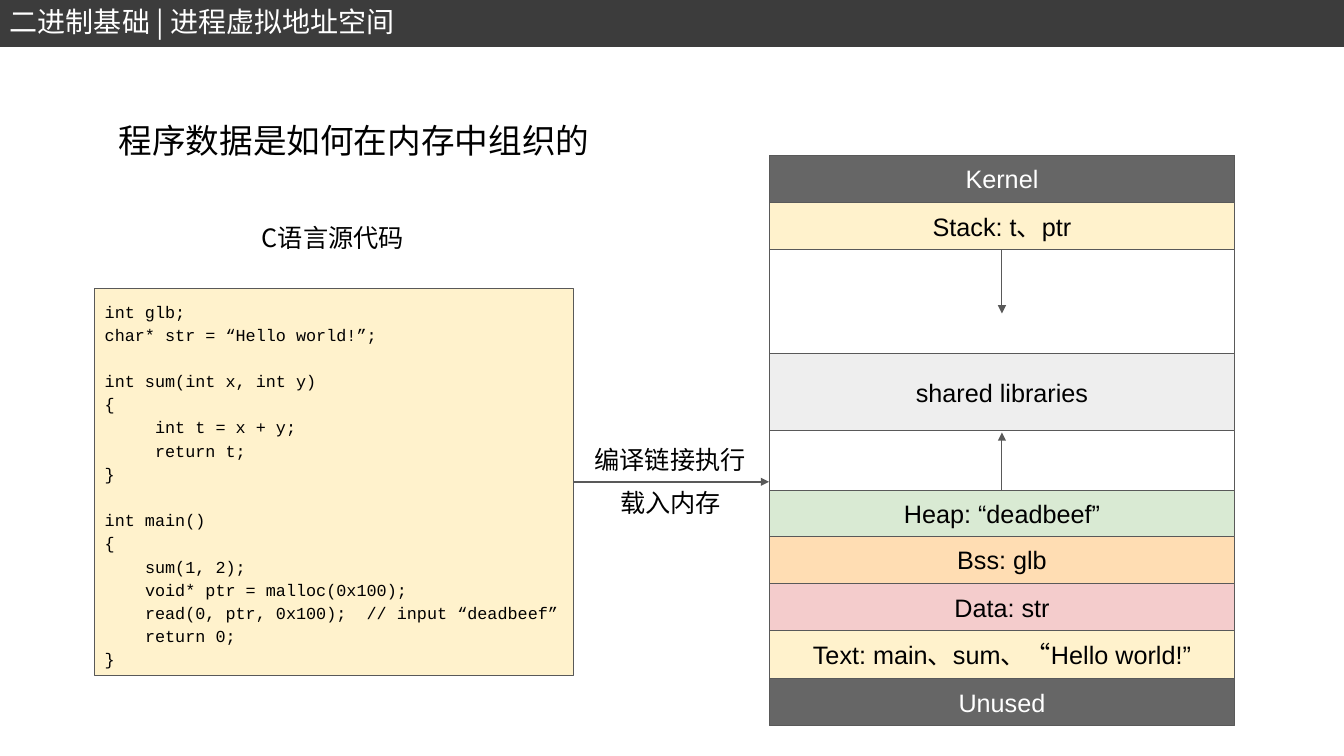
from collections import namedtuple
from dataclasses import dataclass

from lxml import etree
from pptx import Presentation, util as u
from pptx.dml.color import RGBColor
from pptx.enum import shapes, text
from pptx.oxml.ns import qn

CELL = 0.1
COLUMNS, ROWS = 133.33, 75
Box = namedtuple("Box", "left top width height")
Line = namedtuple("Line", "words indent gap", defaults=(0, 0))


@dataclass(frozen=True)
class Theme:
    """Colours, fonts and sizes of the slide."""
    bar: str = "3C3C3C"
    edge: str = "595959"
    dark: str = "666666"
    cream: str = "FFF2CC"
    grey: str = "EEEEEE"
    green: str = "D9EAD3"
    orange: str = "FFDDB3"
    red: str = "F4CCCC"
    white: str = "FFFFFF"
    black: str = "000000"
    sans: str = "Arial"
    mono: str = "Courier New"
    chinese: str = "Noto Sans CJK SC"
    code: int = 12
    body: int = 18
    header: int = 20
    title: int = 24
    thin: float = 0.75
    medium: float = 1.5
    thick: float = 2


THEME = Theme()

CODE = [
    Line("int glb;"),
    Line("char* str = “Hello world!”;"),
    Line("int sum(int x, int y)", gap=1),
    Line("{"),
    Line("int t = x + y;", indent=5),
    Line("return t;", indent=5),
    Line("}"),
    Line("int main()", gap=1),
    Line("{"),
    Line("sum(1, 2);", indent=4),
    Line("void* ptr = malloc(0x100);", indent=4),
    Line("read(0, ptr, 0x100);  // input “deadbeef”", indent=4),
    Line("return 0;", indent=4),
    Line("}"),
]

SEGMENTS = [
    ("Kernel", 4.7, THEME.dark),
    ("Stack: t、ptr", 4.7, THEME.cream),
    ("", 10.3, THEME.white),
    ("shared libraries", 7.6, THEME.grey),
    ("", 6, THEME.white),
    ("Heap: “deadbeef”", 4.5, THEME.green),
    ("Bss: glb", 4.7, THEME.orange),
    ("Data: str", 4.7, THEME.red),
    ("Text: main、sum、“Hello world!”", 4.7, THEME.cream),
    ("Unused", 4.7, THEME.dark),
]


def cells(*counts):
    """Turn counts of grid cells into lengths."""
    return [u.Inches(count * CELL) for count in counts]


def write(shape, lines, font=THEME.chinese, size=THEME.body, color=THEME.black,
          align=text.PP_ALIGN.LEFT, anchor=text.MSO_ANCHOR.TOP, spacing=1.0, inset=0.5):
    """Fill a shape with lines of text in one format."""
    frame = shape.text_frame
    frame.word_wrap = True
    frame.vertical_anchor = anchor
    frame.margin_left, frame.margin_right = cells(1, 1)
    frame.margin_top, frame.margin_bottom = cells(inset, inset)
    for index, line in enumerate(lines):
        paragraph = frame.add_paragraph() if index else frame.paragraphs[0]
        paragraph.alignment = align
        paragraph.line_spacing = spacing
        paragraph.space_before = u.Pt(line.gap * size * 1.38)
        if line.indent:
            properties = paragraph._p.get_or_add_pPr()
            properties.set("marL", str(cells(line.indent)[0]))
            properties.set("indent", "0")
        run = paragraph.add_run()
        run.text = line.words
        run.font.name = font
        run.font.size = u.Pt(size)
        run.font.color.rgb = RGBColor.from_string(color)
        if font == THEME.chinese:
            etree.SubElement(run._r.get_or_add_rPr(), qn("a:ea"), typeface=font)


def add_label(slide, box, words, **style):
    """Place one line of text in a box."""
    write(slide.shapes.add_textbox(*cells(*box)), [Line(words)], **style)


def add_block(slide, box, fill, edge=THEME.edge, width=THEME.thin):
    """Place an outlined rectangle."""
    shape = slide.shapes.add_shape(shapes.MSO_SHAPE.RECTANGLE, *cells(*box))
    shape.shadow.inherit = False
    shape.fill.solid()
    shape.fill.fore_color.rgb = RGBColor.from_string(fill)
    shape.line.color.rgb = RGBColor.from_string(edge)
    shape.line.width = u.Pt(width)
    return shape


def add_arrow(slide, start, end, width=THEME.thin):
    """Draw an arrow between two grid points."""
    arrow = slide.shapes.add_connector(shapes.MSO_CONNECTOR.STRAIGHT, *cells(*start, *end))
    arrow.line.color.rgb = RGBColor.from_string(THEME.edge)
    arrow.line.width = u.Pt(width)
    etree.SubElement(arrow.line._get_or_add_ln(), qn("a:tailEnd"), type="triangle")
    etree.SubElement(arrow._element.spPr, qn("a:effectLst"))


def add_header(slide, box):
    """Draw the top bar with the chapter name."""
    add_block(slide, box, THEME.bar, THEME.bar, THEME.thick)
    add_label(slide, Box(box.left, 0, 61.7, box.height), "二进制基础 | 进程虚拟地址空间",
              size=THEME.header, color=THEME.white)


def add_source(slide, box):
    """Draw the code panel and its caption."""
    write(add_block(slide, box, THEME.cream), CODE, font=THEME.mono,
          size=THEME.code, spacing=1.15, inset=1)
    add_label(slide, Box(box.left + 15.6, box.top - 7, 16.3, 4), "C语言源代码")


def add_loading(slide, box):
    """Draw the arrow from code to memory with a label on each side."""
    middle = box.top + box.height / 2
    add_arrow(slide, (box.left, middle), (box.left + box.width, middle), THEME.medium)
    center = box.left + box.width / 2
    for words, width, top in (("编译链接执行", 17.2, box.top), ("载入内存", 12.1, middle + 0.1)):
        add_label(slide, Box(center - width / 2, top, width, 4), words)


def add_memory(slide, box):
    """Stack the memory segments and show which way stack and heap grow."""
    top = box.top
    edges = []
    for words, height, fill in SEGMENTS:
        block = add_block(slide, Box(box.left, top, box.width, height), fill)
        if words:
            write(block, [Line(words)], font=THEME.sans,
                  color=THEME.white if fill == THEME.dark else THEME.black,
                  align=text.PP_ALIGN.CENTER, anchor=text.MSO_ANCHOR.MIDDLE, inset=1)
        else:
            edges.append((top, top + height))
        top += height
    center = box.left + box.width / 2
    (stack_end, _), (_, heap_start) = edges
    add_arrow(slide, (center, stack_end), (center, stack_end + 6.3))
    add_arrow(slide, (center, heap_start), (center, heap_start - 5.8))


def main():
    """Build and save the slide."""
    presentation = Presentation()
    presentation.slide_width, presentation.slide_height = cells(COLUMNS, ROWS)
    slide = presentation.slides.add_slide(presentation.slide_layouts[6])
    source = Box(9.4, 28.6, 47.5, 38.4)
    memory = Box(76.3, 15.4, 46.2, 56.6)
    source_right = source.left + source.width
    add_header(slide, Box(0, 0.1, COLUMNS, 4.4))
    add_label(slide, Box(10.8, 11.4, 49.1, 5), "程序数据是如何在内存中组织的", size=THEME.title)
    add_source(slide, source)
    add_loading(slide, Box(source_right, 43.6, memory.left - source_right, 8.4))
    add_memory(slide, memory)
    presentation.save("out.pptx")


if __name__ == "__main__":
    main()
